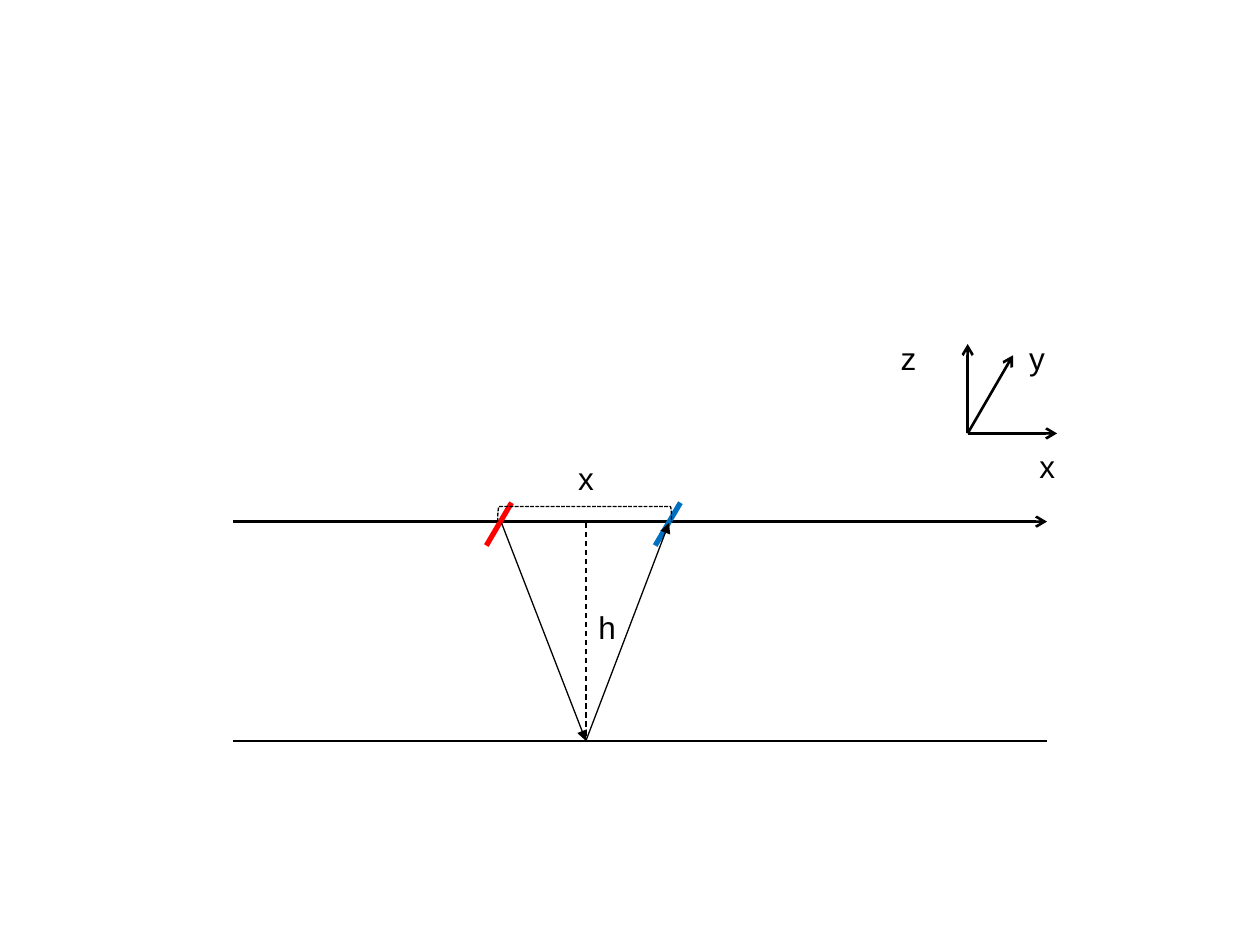
from lxml import etree
from pptx import Presentation
from pptx.dml.color import RGBColor
from pptx.enum.dml import MSO_LINE_DASH_STYLE as Dash
from pptx.enum.shapes import MSO_CONNECTOR as Connector, MSO_SHAPE as Shape
from pptx.enum.text import MSO_AUTO_SIZE as AutoSize
from pptx.oxml.ns import qn
from pptx.util import Inches, Pt

COLORS = {"ink": "000000", "source": "FF0000", "receiver": "0070C0"}
FONT = "Arial"


def format_line(line, color="ink", weight=0.75, dash=None):
    line.color.rgb = RGBColor.from_string(COLORS[color])
    line.width = Pt(weight)
    if dash is not None:
        line.dash_style = dash


def add_line(page, start, end, head=None, **style):
    """Draw a straight line in inches, with an optional arrowhead at its end."""
    connector = page.shapes.add_connector(
        Connector.STRAIGHT, *(Inches(v) for v in (*start, *end)))
    format_line(connector.line, **style)
    properties = connector._element.spPr
    if head:
        outline = properties.find(qn("a:ln"))
        etree.SubElement(outline, qn("a:tailEnd"), type=head)
    etree.SubElement(properties, qn("a:effectLst"))


def add_text(page, text, left, top, width=0.39, height=0.4, size=18, color="ink"):
    box = page.shapes.add_textbox(*(Inches(v) for v in (left, top, width, height)))
    frame = box.text_frame
    frame.word_wrap = True
    frame.auto_size = AutoSize.SHAPE_TO_FIT_TEXT
    span = frame.paragraphs[0].add_run()
    span.text = text
    span.font.name = FONT
    span.font.size = Pt(size)
    span.font.color.rgb = RGBColor.from_string(COLORS[color])


def add_offset_bracket(page, center_x, center_y, span, depth):
    """Lay a left bracket on its side, opening downwards."""
    bracket = page.shapes.add_shape(
        Shape.LEFT_BRACKET, Inches(center_x - depth / 2),
        Inches(center_y - span / 2), Inches(depth), Inches(span))
    bracket.rotation = 90
    bracket.shadow.inherit = False
    bracket.fill.background()
    format_line(bracket.line, dash=Dash.SQUARE_DOT)


def add_reflection(page, left, top, width, height):
    """Draw the surface, the reflector and the ray path between the antennas."""
    right, bottom = left + width, top + height
    middle, ray_top = left + 2.8, top + 0.01
    reflection = (middle, bottom)

    add_line(page, (left, top), (right, top), head="arrow", weight=1.5)
    for antenna, color in ((left + 2.11, "source"), (left + 3.45, "receiver")):
        add_line(page, (antenna + 0.1, top - 0.15), (antenna - 0.1, top + 0.19),
                 color=color, weight=3)
    add_line(page, (left, bottom), (right, bottom), weight=1.5)

    add_line(page, (middle - 0.67, ray_top), reflection, head="triangle")
    add_line(page, reflection, (middle + 0.66, ray_top), head="triangle")
    add_line(page, (middle, ray_top), reflection, dash=Dash.DASH)
    add_text(page, "h", middle, top + 0.64, width=0.67)
    add_text(page, "x", middle - 0.16, top - 0.55, width=0.67)
    add_offset_bracket(page, middle - 0.01, top - 0.06, span=1.38, depth=0.12)


def add_axes(page, left, top, length):
    """Draw the x, y and z axes, with the origin at the lower left."""
    origin = (left, top + length)
    axes = (
        ("x", (left + length, top + length), (0.47, 0.77)),
        ("y", (left + 0.36, top + 0.09), (0.39, -0.09)),
        ("z", (left, top), (-0.63, -0.09)),
    )
    for name, tip, (label_x, label_y) in axes:
        add_line(page, origin, tip, head="arrow", weight=1.5)
        add_text(page, name, left + label_x, top + label_y)


def main():
    deck = Presentation()
    deck.slide_width, deck.slide_height = Inches(10), Inches(7.5)
    page = deck.slides.add_slide(deck.slide_layouts[6])
    add_reflection(page, left=1.85, top=4.14, width=6.46, height=1.74)
    add_axes(page, left=7.68, top=2.73, length=0.71)
    deck.save("out.pptx")


if __name__ == "__main__":
    main()
